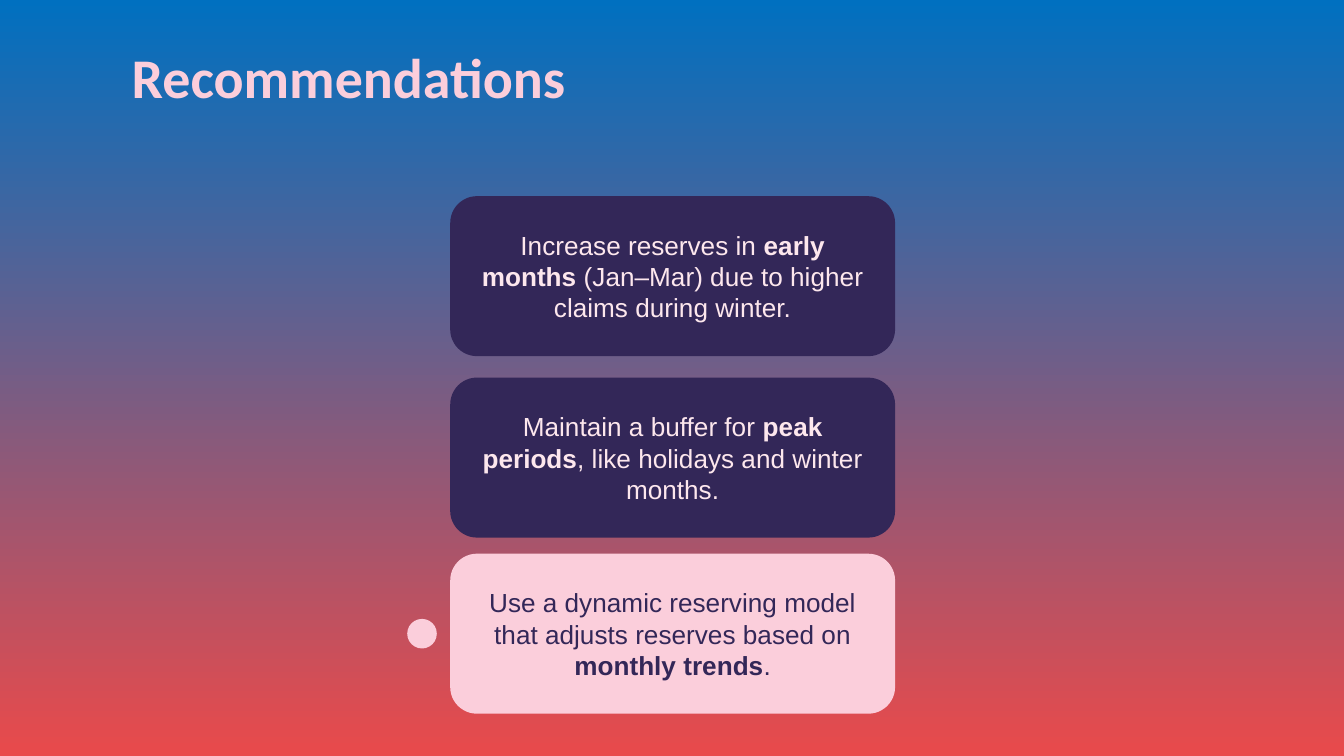
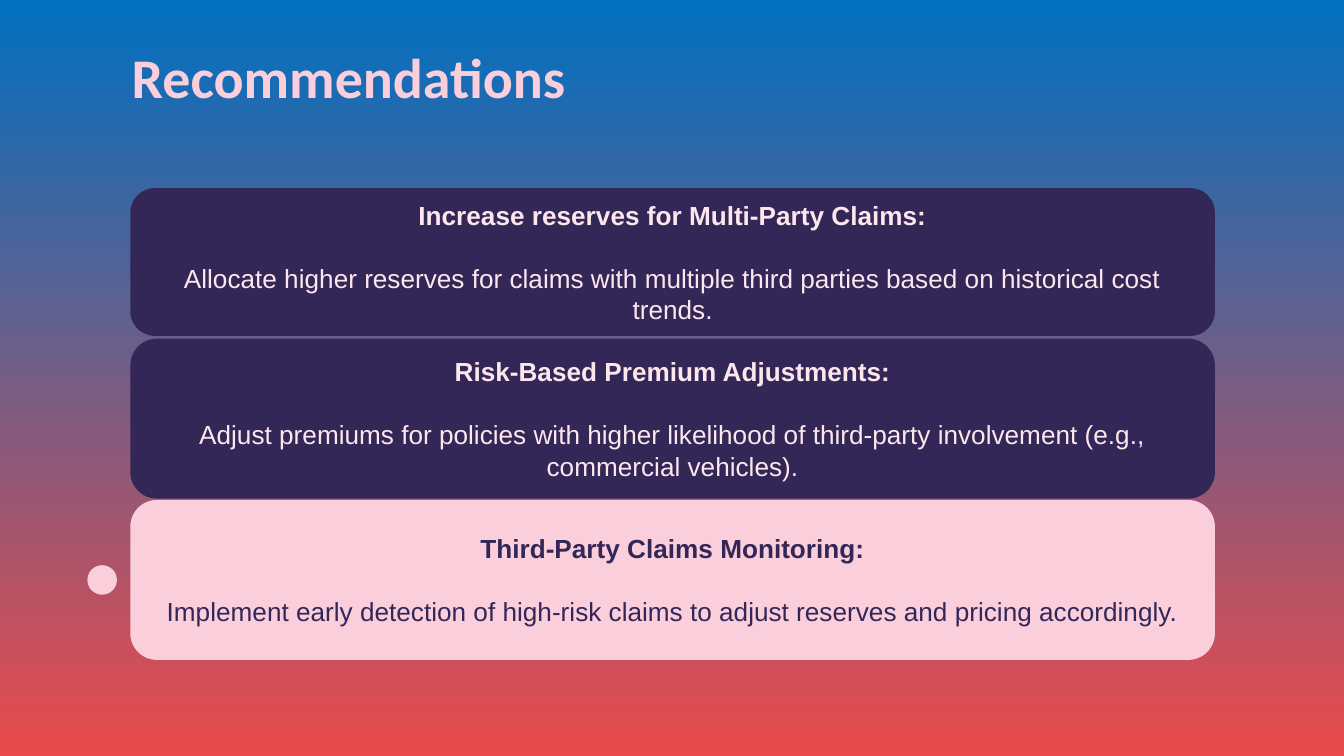
from dataclasses import dataclass

import pptx
import pptx.dml.color
import pptx.enum.shapes
import pptx.enum.text
import pptx.presentation
import pptx.slide
import pptx.util

Inches = pptx.util.Inches
Pt = pptx.util.Pt
Shapes = pptx.enum.shapes.MSO_SHAPE
Anchor = pptx.enum.text.MSO_ANCHOR
Align = pptx.enum.text.PP_ALIGN

COLOURS = {
    "sky": "0070C0",
    "coral": "E94A4B",
    "navy": "332758",
    "pink": "FBCEDB",
    "blush": "FDE7ED",
}
TITLE = "Recommendations"
CARD_HEIGHT = 1.19
DOT_SIZE = 0.22
DOT_GAP = 0.1


@dataclass
class Span:
    text: str
    bold: bool = False


@dataclass
class Card:
    top: float
    paragraphs: list[list[Span]]
    height: float = CARD_HEIGHT
    highlighted: bool = False


@dataclass
class CardPage:
    left: float
    width: float
    cards: list[Card]


def headed(heading: str, body: str) -> list[list[Span]]:
    return [[Span(heading, True)], [Span(body)]]


PAGES = [
    CardPage(3.35, 3.31, [
        Card(1.46, [[
            Span("Increase reserves in "),
            Span("early months ", True),
            Span("(Jan–Mar) due to higher claims during winter."),
        ]]),
        Card(2.81, [[
            Span("Maintain a buffer for "),
            Span("peak periods", True),
            Span(", like holidays and winter months."),
        ]]),
        Card(4.12, [[
            Span("Use a dynamic reserving model that adjusts reserves based on "),
            Span("monthly trends", True),
            Span("."),
        ]], highlighted=True),
    ]),
    CardPage(0.97, 8.07, [
        Card(1.4, headed(
            "Increase reserves for Multi-Party Claims:",
            "Allocate higher reserves for claims with multiple third parties "
            "based on historical cost trends.",
        ), height=1.1),
        Card(2.52, headed(
            "Risk-Based Premium Adjustments:",
            "Adjust premiums for policies with higher likelihood of third-party "
            "involvement (e.g., commercial vehicles).",
        )),
        Card(3.72, headed(
            "Third-Party Claims Monitoring:",
            "Implement early detection of high-risk claims to adjust reserves "
            "and pricing accordingly.",
        ), highlighted=True),
    ]),
]


def colour(name: str) -> pptx.dml.color.RGBColor:
    return pptx.dml.color.RGBColor.from_string(COLOURS[name])


def set_background(deck: pptx.presentation.Presentation) -> None:
    fill = deck.slide_master.background.fill
    fill.gradient()
    fill.gradient_angle = 90
    for stop, name in zip(fill.gradient_stops, ("coral", "sky")):
        stop.color.rgb = colour(name)


def set_title(page: pptx.slide.Slide) -> None:
    box = page.shapes.title
    box.left, box.top = Inches(0.88), Inches(0.3)
    box.width, box.height = Inches(8.07), Inches(1.1)
    frame = box.text_frame
    frame.text = TITLE
    frame.word_wrap = True
    frame.auto_size = pptx.enum.text.MSO_AUTO_SIZE.NONE
    frame.vertical_anchor = Anchor.TOP
    frame.margin_left = frame.margin_right = Inches(0.1)
    frame.margin_top = Inches(0.02)
    para = frame.paragraphs[0]
    para.alignment = Align.LEFT
    font = para.runs[0].font
    font.name, font.size, font.bold = "Calibri", Pt(30), True
    font.color.rgb = colour("pink")


def add_filled(page: pptx.slide.Slide, kind: Shapes, left: float, top: float,
               width: float, height: float, fill: str):
    shape = page.shapes.add_shape(
        kind, Inches(left), Inches(top), Inches(width), Inches(height))
    shape.shadow.inherit = False
    shape.fill.solid()
    shape.fill.fore_color.rgb = colour(fill)
    shape.line.fill.background()
    return shape


def add_card(page: pptx.slide.Slide, left: float, width: float, card: Card) -> None:
    fill, ink = ("pink", "navy") if card.highlighted else ("navy", "blush")
    box = add_filled(page, Shapes.ROUNDED_RECTANGLE, left, card.top, width,
                     card.height, fill)
    frame = box.text_frame
    frame.word_wrap = True
    frame.vertical_anchor = Anchor.MIDDLE
    for index, spans in enumerate(card.paragraphs):
        para = frame.add_paragraph() if index else frame.paragraphs[0]
        para.alignment = Align.CENTER
        if index:
            para.space_before = Pt(17)
        for span in spans:
            run = para.add_run()
            run.text = span.text
            run.font.name, run.font.size = "Arial", Pt(14)
            run.font.bold = span.bold
            run.font.color.rgb = colour(ink)
    if card.highlighted:
        add_filled(page, Shapes.OVAL, left - DOT_GAP - DOT_SIZE,
                   card.top + (card.height - DOT_SIZE) / 2,
                   DOT_SIZE, DOT_SIZE, "pink")


def main() -> None:
    deck = pptx.Presentation()
    deck.slide_width, deck.slide_height = Inches(10), Inches(10 * 9 / 16)
    set_background(deck)
    title_only = deck.slide_layouts.get_by_name("Title Only")
    for content in PAGES:
        page = deck.slides.add_slide(title_only)
        set_title(page)
        for card in content.cards:
            add_card(page, content.left, content.width, card)
    deck.save("out.pptx")


if __name__ == "__main__":
    main()
